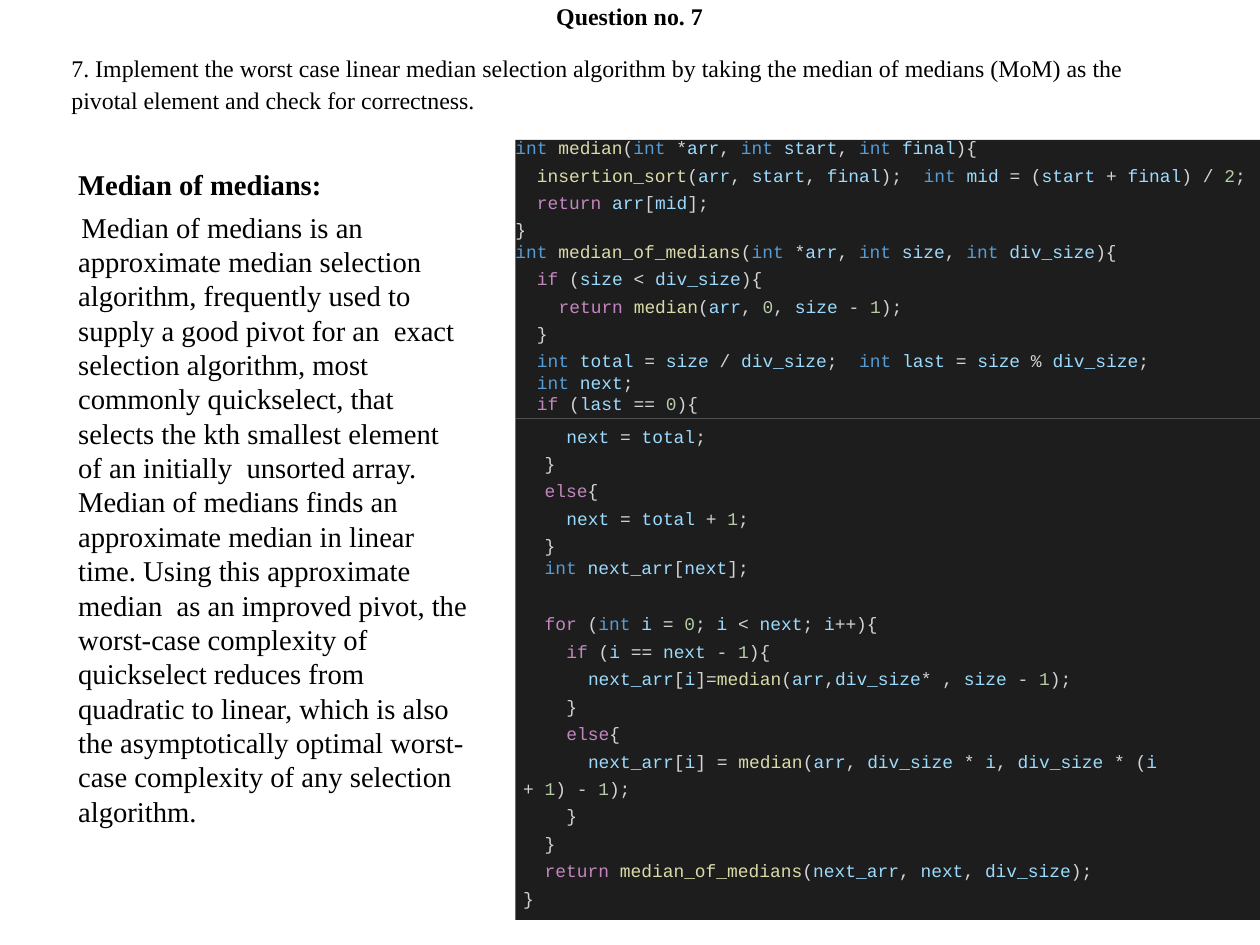
"""Builds the slide on median of medians, with its explanation and code listing."""
from itertools import groupby

from lxml import etree
from pptx import Presentation
from pptx.dml.color import RGBColor
from pptx.enum.shapes import MSO_SHAPE
from pptx.enum.text import MSO_ANCHOR, MSO_AUTO_SIZE, PP_ALIGN
from pptx.oxml.ns import qn
from pptx.util import Cm, Pt

RECT = MSO_SHAPE.RECTANGLE
TOP = MSO_ANCHOR.TOP
NO_FIT = MSO_AUTO_SIZE.NONE
LEFT, CENTER = PP_ALIGN.LEFT, PP_ALIGN.CENTER

TITLE = "Question no. 7"
QUESTION = (
    "7. Implement the worst case linear median selection algorithm by taking "
    "the median of medians (MoM) as the  pivotal element and check for correctness."
)
HEADING = "Median of medians:"
EXPLANATION = (
    "Median of medians is an approximate median selection algorithm, frequently "
    "used to supply a good pivot for an  exact selection algorithm, most commonly "
    "quickselect, that selects the kth smallest element of an initially  unsorted "
    "array. Median of medians finds an approximate median in linear time. Using "
    "this approximate median  as an improved pivot, the worst-case complexity of "
    "quickselect reduces from quadratic to linear, which is also the asymptotically "
    "optimal worst-case complexity of any selection algorithm."
)

# level, space before, line spacing, code
UPPER_CODE = [
    (0, 0, Pt(15.5), "int median(int *arr, int start, int final){"),
    (1, 0, 1.27, "insertion_sort(arr, start, final);  int mid = (start + final) / 2;"),
    (1, 0, 1.27, "return arr[mid];"),
    (0, 5, 1.0, "}"),
    (0, 0, 1.0, "int median_of_medians(int *arr, int size, int div_size){"),
    (1, 5, 1.0, "if (size < div_size){"),
    (2, 5, 1.0, "return median(arr, 0, size - 1);"),
    (1, 5, 1.0, "}"),
    (1, 0, 1.27, "int total = size / div_size;  int last = size % div_size;"),
    (1, 0, 1.0, "int next;"),
    (1, 0, 1.0, "if (last == 0){"),
]
LOWER_CODE = [
    (2, 5, 1.0, "next = total;"),
    (1, 5, 1.0, "}"),
    (1, 5, 1.0, "else{"),
    (2, 5, 1.0, "next = total + 1;"),
    (1, 5, 1.0, "}"),
    (1, 0, 1.0, "int next_arr[next];"),
    (1, 29.5, 1.0, "for (int i = 0; i < next; i++){"),
    (2, 5, 1.0, "if (i == next - 1){"),
    (3, 5, 1.0, "next_arr[i]=median(arr,div_size* , size - 1);"),
    (2, 5, 1.0, "}"),
    (2, 5, 1.0, "else{"),
    (3, 5, 1.0, "next_arr[i] = median(arr, div_size * i, div_size * (i"),
    (0, 5, 1.0, "+ 1) - 1);"),
    (2, 5, 1.0, "}"),
    (1, 5, 1.0, "}"),
    (1, 5, 1.0, "return median_of_medians(next_arr, next, div_size);"),
    (0, 5, 1.0, "}"),
]
KINDS = {
    "int": "type",
    **dict.fromkeys(("if", "else", "for", "return"), "keyword"),
    **dict.fromkeys(("insertion_sort", "median", "median_of_medians"), "function"),
}
THEME = {
    "serif": "Times New Roman", "mono": "Courier New",
    "question": 20, "body": 24, "code": 15,
    "text": "000000", "panel": "1D1D1D",
    "type": "569CD5", "keyword": "C486BF", "function": "DBDBAA",
    "number": "B4CDA7", "name": "9CDBFE", "symbol": "D4D4D4",
}
WIDTH, HEIGHT = Cm(37.26), Cm(27.94)
PANEL_LEFT, PANEL_TOP, PANEL_SPLIT = Cm(15.24), Cm(4.14), Cm(12.37)
CODE_LEFT, CODE_INDENT = Cm(15.47), Cm(0.64)


def tokens(code):
    """Yields each piece of a code line with its colour."""
    for is_word, chars in groupby(code, lambda c: c.isalnum() or c == "_"):
        piece = "".join(chars)
        kind = "symbol"
        if is_word:
            kind = "number" if piece.isdigit() else KINDS.get(piece, "name")
        yield piece, THEME[kind]


def add_text(tf, text, size, font="serif", bold=False, align=LEFT, before=0,
             spacing=1.0, margin=0, indent=0):
    """Adds one paragraph, given as a string or as coloured pieces."""
    p = tf.paragraphs[0]
    if p.runs:
        p = tf.add_paragraph()
    p.alignment, p.line_spacing = align, spacing
    p.space_before, p.space_after = Pt(before), Pt(0)
    ppr = p._p.get_or_add_pPr()
    ppr.set("marL", str(margin))
    ppr.set("indent", str(indent))
    etree.SubElement(ppr, qn("a:buNone"))
    for piece, color in [(text, THEME["text"])] if isinstance(text, str) else text:
        r = p.add_run()
        r.text = piece
        r.font.name, r.font.size, r.font.bold = THEME[font], Pt(THEME[size]), bold
        r.font.color.rgb = RGBColor.from_string(color)


def frame(sp, side=0, top=0):
    """Prepares the text frame of a shape."""
    tf = sp.text_frame
    tf.word_wrap, tf.auto_size, tf.vertical_anchor = True, NO_FIT, TOP
    tf.margin_left = tf.margin_right = side
    tf.margin_top, tf.margin_bottom = top, 0
    return tf


def place(sp, left, top, width, height):
    """Moves and sizes a shape."""
    sp.left, sp.top, sp.width, sp.height = left, top, width, height


def add_panel(s, top, height):
    """Adds a dark background for code."""
    sp = s.shapes.add_shape(RECT, PANEL_LEFT, top, WIDTH - PANEL_LEFT, height)
    sp.shadow.inherit = False
    sp.fill.solid()
    sp.fill.fore_color.rgb = RGBColor.from_string(THEME["panel"])
    sp.line.fill.background()
    return sp


def add_code(tf, lines):
    """Fills a text frame with coloured code."""
    for level, before, spacing, code in lines:
        add_text(tf, tokens(code), "code", font="mono", before=before,
                 spacing=spacing, margin=level * CODE_INDENT)


def main():
    """Builds and saves the presentation."""
    prs = Presentation()
    prs.slide_width, prs.slide_height = WIDTH, HEIGHT
    s = prs.slides.add_slide(prs.slide_layouts[1])
    title, body = s.placeholders

    place(title, Cm(2.11), Cm(0.03), Cm(33.02), Cm(3.33))
    tf = frame(title, top=Cm(0.03))
    add_text(tf, TITLE, "question", bold=True, align=CENTER, before=1)
    add_text(tf, QUESTION, "question", before=17, spacing=1.1)

    place(body, Cm(2.03), Cm(4.01), Cm(12.07), Cm(21.54))
    tf = frame(body, side=Cm(0.25), top=Cm(0.91))
    add_text(tf, HEADING, "body", bold=True, margin=Cm(0.03))
    add_text(tf, EXPLANATION, "body", before=7.2, margin=Cm(0.03), indent=Cm(0.1))

    upper = add_panel(s, PANEL_TOP, PANEL_SPLIT - PANEL_TOP)
    add_code(frame(upper), UPPER_CODE)
    add_panel(s, PANEL_SPLIT, Cm(14.83))
    lower = s.shapes.add_textbox(CODE_LEFT, PANEL_SPLIT, WIDTH - CODE_LEFT, Cm(14.66))
    add_code(frame(lower, top=Cm(0.2)), LOWER_CODE)

    prs.save("out.pptx")


if __name__ == "__main__":
    main()
